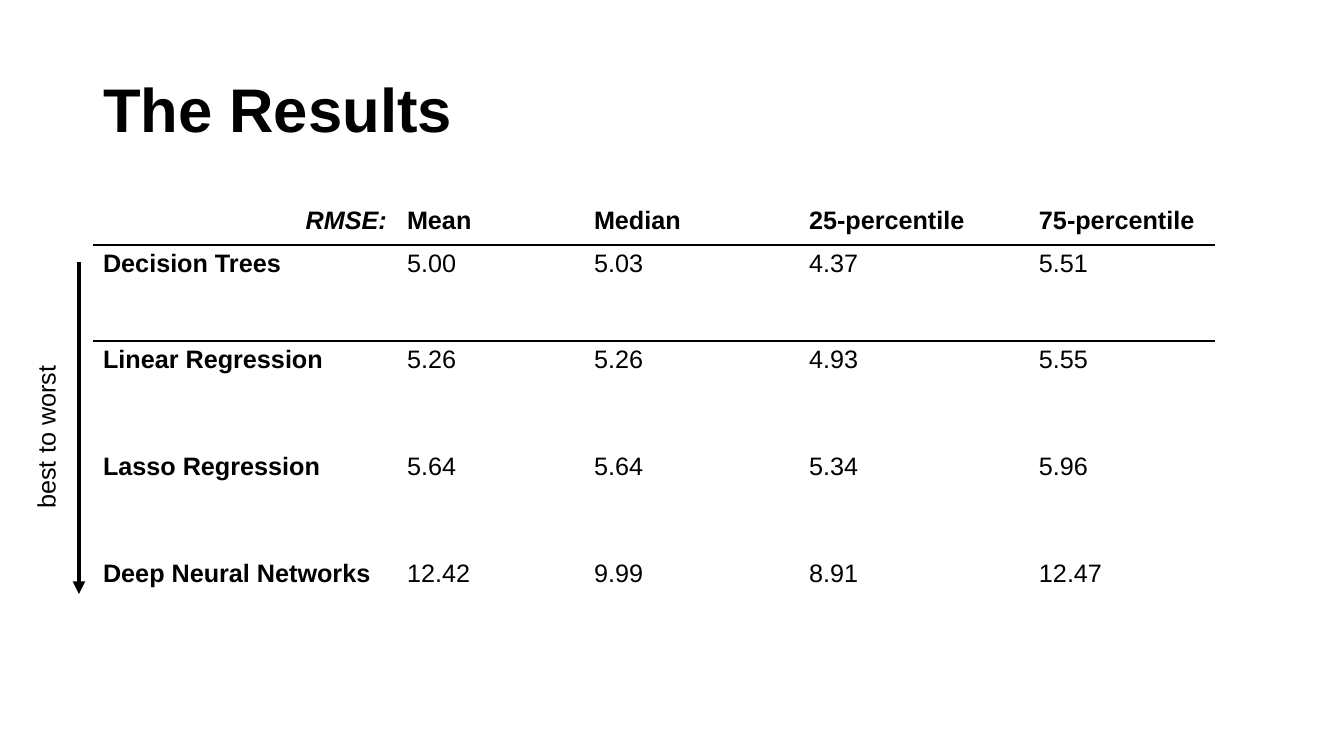
from pptx import Presentation
from pptx.dml.color import RGBColor
from pptx.enum.shapes import MSO_CONNECTOR
from pptx.enum.text import MSO_ANCHOR, MSO_AUTO_SIZE, PP_ALIGN
from pptx.oxml import parse_xml
from pptx.oxml.ns import nsdecls
from pptx.util import Emu, Pt

COLORS = {"ink": "000000", "paper": "FFFFFF"}
FONT = "Arial"
NO_STYLE = "{2D5ABB26-0587-4C30-8999-92F81FD0307C}"
COLUMN_WIDTHS = [304, 187, 215, 230, 186]
ROW_HEIGHTS = [43, 96, 107, 107, 107]
RESULTS = [
    ["RMSE:", "Mean", "Median", "25-percentile", "75-percentile"],
    ["Decision Trees", "5.00", "5.03", "4.37", "5.51"],
    ["Linear Regression", "5.26", "5.26", "4.93", "5.55"],
    ["Lasso Regression", "5.64", "5.64", "5.34", "5.96"],
    ["Deep Neural Networks", "12.42", "9.99", "8.91", "12.47"],
]


def px(pixels):
    return Emu(round(pixels * 914400 / 100.8))


def color(name):
    return RGBColor.from_string(COLORS[name])


def write(frame, text, size=18, bold=False, italic=False, align=PP_ALIGN.LEFT):
    frame.text = text
    para = frame.paragraphs[0]
    para.alignment = align
    para.font.name = FONT
    para.font.size = Pt(size)
    para.font.bold = bold
    para.font.italic = italic
    para.font.color.rgb = color("ink")
    return para


def add_title(page, text):
    title = page.shapes.title
    title.left, title.top, title.width, title.height = map(px, (93, 40, 1159, 146))
    frame = title.text_frame
    frame.auto_size = MSO_AUTO_SIZE.NONE
    frame.vertical_anchor = MSO_ANCHOR.MIDDLE
    write(frame, text, size=44, bold=True).line_spacing = 0.9


def add_border(cell, side):
    border = parse_xml(
        f'<a:{side} {nsdecls("a")} w="{Pt(1)}"><a:solidFill>'
        f'<a:srgbClr val="{COLORS["ink"]}"/></a:solidFill></a:{side}>'
    )
    cell._tc.get_or_add_tcPr().insert(0, border)


def add_results_table(page, left, top):
    holder = page.shapes.add_table(
        len(RESULTS), len(RESULTS[0]), px(left), px(top),
        px(sum(COLUMN_WIDTHS)), px(sum(ROW_HEIGHTS)),
    )
    holder.element.xpath(".//a:tableStyleId")[0].text = NO_STYLE
    table = holder.table
    table.first_row = table.horz_banding = False
    for column, width in zip(table.columns, COLUMN_WIDTHS):
        column.width = px(width)
    for row, height in zip(table.rows, ROW_HEIGHTS):
        row.height = px(height)
    for r, values in enumerate(RESULTS):
        for c, value in enumerate(values):
            cell = table.cell(r, c)
            corner = r == c == 0
            write(cell.text_frame, value, bold=r == 0 or c == 0, italic=corner,
                  align=PP_ALIGN.RIGHT if corner else PP_ALIGN.LEFT)
            cell.fill.background()
            if r < 2:
                add_border(cell, "lnB" if r == 0 else "lnT")


def add_arrow(page, x, top, bottom):
    arrow = page.shapes.add_connector(
        MSO_CONNECTOR.STRAIGHT, px(x), px(top), px(x), px(bottom))
    arrow.line.color.rgb = color("ink")
    arrow.line.width = Pt(3)
    line = arrow.element.xpath(".//a:ln")[0]
    line.append(parse_xml(f'<a:tailEnd {nsdecls("a")} type="triangle"/>'))
    line.addnext(parse_xml(f'<a:effectLst {nsdecls("a")}/>'))


def add_vertical_label(page, text, left, top, width, height):
    box = page.shapes.add_textbox(*map(px, (left, top, width, height)))
    box.rotation = 270
    box.text_frame.word_wrap = True
    box.text_frame.auto_size = MSO_AUTO_SIZE.SHAPE_TO_FIT_TEXT
    write(box.text_frame, text)


def main():
    deck = Presentation()
    deck.slide_width, deck.slide_height = px(1344), px(756)
    page = deck.slides.add_slide(deck.slide_layouts[5])
    page.background.fill.solid()
    page.background.fill.fore_color.rgb = color("paper")
    add_title(page, "The Results")
    add_results_table(page, 93, 202)
    add_arrow(page, 79, 262, 594)
    add_vertical_label(page, "best to worst", -46, 407, 183, 40)
    deck.save("out.pptx")


main()
